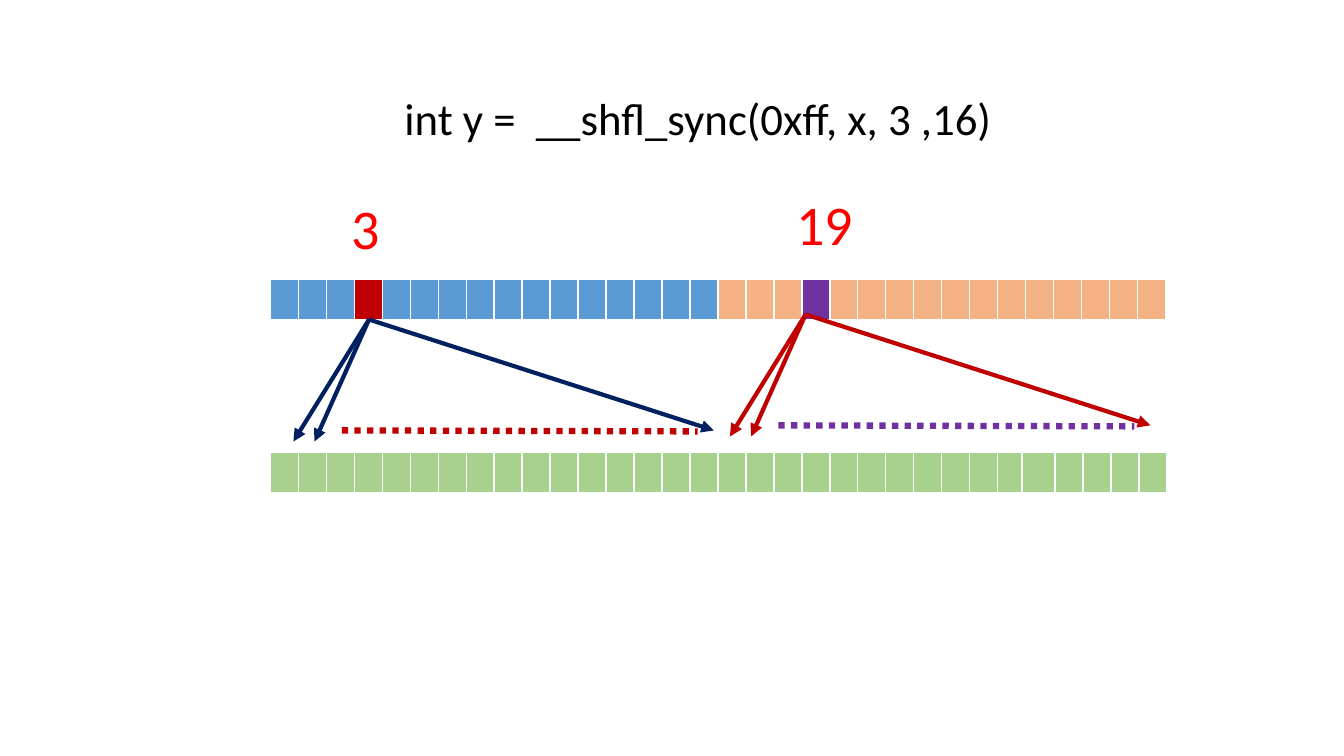
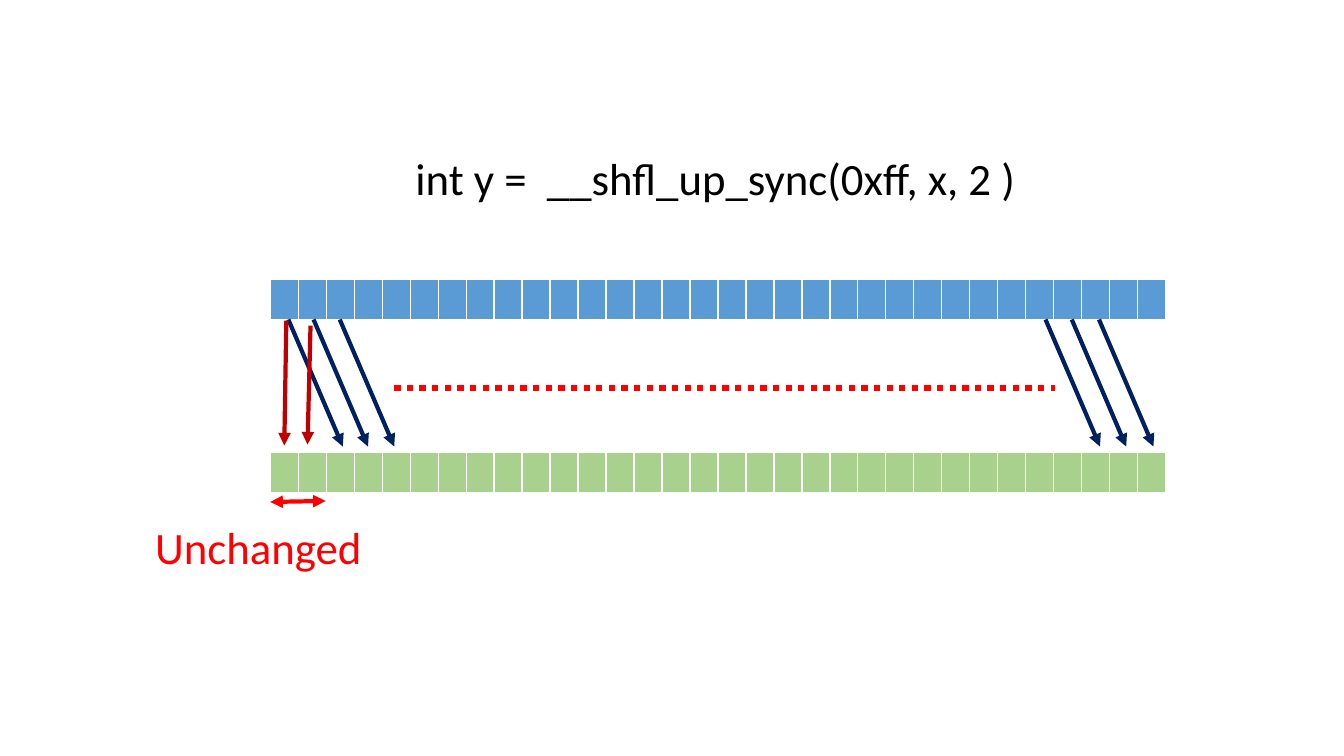
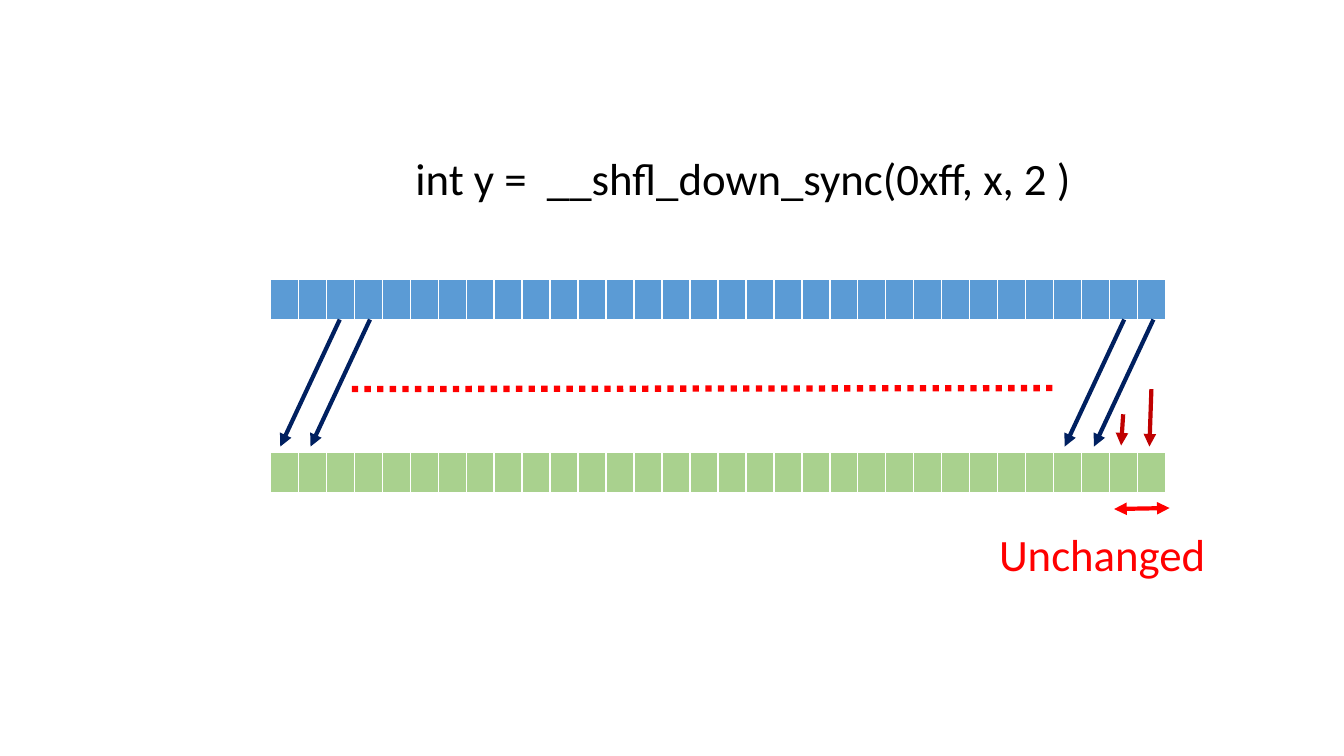
"""Build three slides that show how warp shuffles move values between lanes."""
from lxml import etree
from pptx import Presentation
from pptx.dml.color import RGBColor
from pptx.enum.dml import MSO_LINE
from pptx.enum.shapes import MSO_CONNECTOR
from pptx.enum.text import MSO_ANCHOR, MSO_AUTO_SIZE, PP_ALIGN
from pptx.oxml.ns import qn
from pptx.util import Inches, Pt

STRAIGHT = MSO_CONNECTOR.STRAIGHT
DOTTED = MSO_LINE.ROUND_DOT
LEFT, TOP = PP_ALIGN.LEFT, MSO_ANCHOR.TOP
FIT = MSO_AUTO_SIZE.SHAPE_TO_FIT_TEXT

COLORS = {
    "blue": "5B9BD5", "orange": "F4B183", "green": "A9D18E", "crimson": "C00000",
    "purple": "7030A0", "navy": "002060", "red": "FF0000", "black": "000000",
    "white": "FFFFFF",
}
FONT = "Calibri"
LANES = 32
ROW_X, ROW_W, ROW_H = 2.68, 8.89, 0.41
SOURCE_Y, RESULT_Y = 2.77, 4.49
BORDERS = {"lnL": 1, "lnR": 1, "lnT": 1, "lnB": 3}

SEGMENTS = (["blue"] * 3 + ["crimson"] + ["blue"] * 12
            + ["orange"] * 3 + ["purple"] + ["orange"] * 12)
RESULT_NUDGES = {26: -0.05, 27: 0.05}
FAN_TIPS = [(-0.75, 1.21), (-0.54, 1.21), (3.42, 1.1)]
FAN_DOTS = [(-0.27, 1.1), (3.26, 1.11)]
FANS = [(3.66, 3.17, "navy", "crimson"), (7.99, 3.12, "crimson", "purple")]
LANE_LABELS = [("3", (3.39, 1.87, 0.67, 0.77)), ("19", (7.8, 1.83, 0.97, 0.77))]

SHIFTS = [
    {
        "title": " int y =  __shfl_up_sync(0xff, x, 2 )",
        "starts": [2.86, 3.11, 3.37, 10.37, 10.63, 10.9],
        "move": 0.54,
        "kept": [((2.84, 3.18), (2.82, 4.42)), ((3.08, 3.23), (3.05, 4.41))],
        "dots": ((3.91, 3.85), (10.46, 3.85)),
        "span": ((2.68, 4.98), (3.23, 4.97)),
        "label": (1.44, 5.11, 2.35, 0.64),
    },
    {
        "title": " int y =  __shfl_down_sync(0xff, x, 2 )",
        "starts": [3.37, 3.67, 11.15, 11.44],
        "move": -0.59,
        "kept": [((11.42, 3.86), (11.4, 4.43)), ((11.14, 4.11), (11.12, 4.42))],
        "dots": ((3.49, 3.86), (10.46, 3.85)),
        "span": ((11.05, 5.05), (11.6, 5.04)),
        "label": (9.81, 5.18, 2.35, 0.64),
    },
]


def rgb(name):
    return RGBColor.from_string(COLORS[name])


def write_text(tf, text, size=32, color="black"):
    tf.word_wrap = True
    tf.auto_size = FIT
    tf.vertical_anchor = TOP
    p = tf.paragraphs[0]
    p.alignment = LEFT
    r = p.add_run()
    r.text = text
    r.font.name = FONT
    r.font.size = Pt(size)
    r.font.color.rgb = rgb(color)


def add_label(s, text, box, **fmt):
    write_text(s.shapes.add_textbox(*map(Inches, box)).text_frame, text, **fmt)


def add_line(s, start, end, color, width=3, dash=None, ends=()):
    line = s.shapes.add_connector(STRAIGHT, *map(Inches, (*start, *end)))
    line.line.color.rgb = rgb(color)
    line.line.width = Pt(width)
    if dash:
        line.line.dash_style = dash
    sp_pr = line._element.spPr
    for end_tag in ends:
        etree.SubElement(sp_pr.find(qn("a:ln")), qn(f"a:{end_tag}"), type="triangle")
    etree.SubElement(sp_pr, qn("a:effectLst"))


def add_arrow(s, start, end, color):
    add_line(s, start, end, color, ends=["tailEnd"])


def add_dots(s, start, end, color):
    add_line(s, start, end, color, width=4.5, dash=DOTTED)


def add_lanes(s, y, fills, nudges):
    frame = s.shapes.add_table(1, LANES, *map(Inches, (ROW_X, y, ROW_W, ROW_H)))
    table = frame.table
    table.first_row = table.horz_banding = False
    for i, fill in enumerate(fills):
        table.columns[i].width = Inches(ROW_W / LANES + nudges.get(i, 0))
        cell = table.cell(0, i)
        tc_pr = cell._tc.get_or_add_tcPr()
        for tag, points in BORDERS.items():
            ln = etree.SubElement(tc_pr, qn(f"a:{tag}"), w=str(Pt(points)))
            solid = etree.SubElement(ln, qn("a:solidFill"))
            etree.SubElement(solid, qn("a:srgbClr"), val=COLORS["white"])
        cell.fill.solid()
        cell.fill.fore_color.rgb = rgb(fill)


def add_warp_slide(prs, title, x, y, source, nudges=None):
    s = prs.slides.add_slide(prs.slide_layouts[5])
    sp = s.shapes.title
    sp.left, sp.top, sp.width, sp.height = map(Inches, (x, y, 7.97, 0.64))
    write_text(sp.text_frame, title)
    add_lanes(s, SOURCE_Y, source, {})
    add_lanes(s, RESULT_Y, ["green"] * LANES, nudges or {})
    return s


def add_broadcast_slide(prs):
    s = add_warp_slide(prs, " int y =  __shfl_sync(0xff, x, 3 ,16)", 3.81, 0.85,
                       SEGMENTS, RESULT_NUDGES)
    for x, y, arrow_color, dot_color in FANS:
        for dx, dy in FAN_TIPS:
            add_arrow(s, (x, y), (x + dx, y + dy), arrow_color)
        add_dots(s, *[(x + dx, y + dy) for dx, dy in FAN_DOTS], dot_color)
    for text, box in LANE_LABELS:
        add_label(s, text, box, size=40, color="red")


def add_shift_slide(prs, shift):
    s = add_warp_slide(prs, shift["title"], 3.92, 1.44, ["blue"] * LANES)
    for x in shift["starts"]:
        add_arrow(s, (x, 3.17), (x + shift["move"], 4.43), "navy")
    for start, end in shift["kept"]:
        add_arrow(s, start, end, "crimson")
    add_dots(s, *shift["dots"], "red")
    add_label(s, "Unchanged", shift["label"], color="red")
    add_line(s, *shift["span"], "red", ends=["headEnd", "tailEnd"])


def main():
    prs = Presentation()
    prs.slide_width, prs.slide_height = Inches(13.33), Inches(7.5)
    add_broadcast_slide(prs)
    for shift in SHIFTS:
        add_shift_slide(prs, shift)
    prs.save("out.pptx")


if __name__ == "__main__":
    main()
